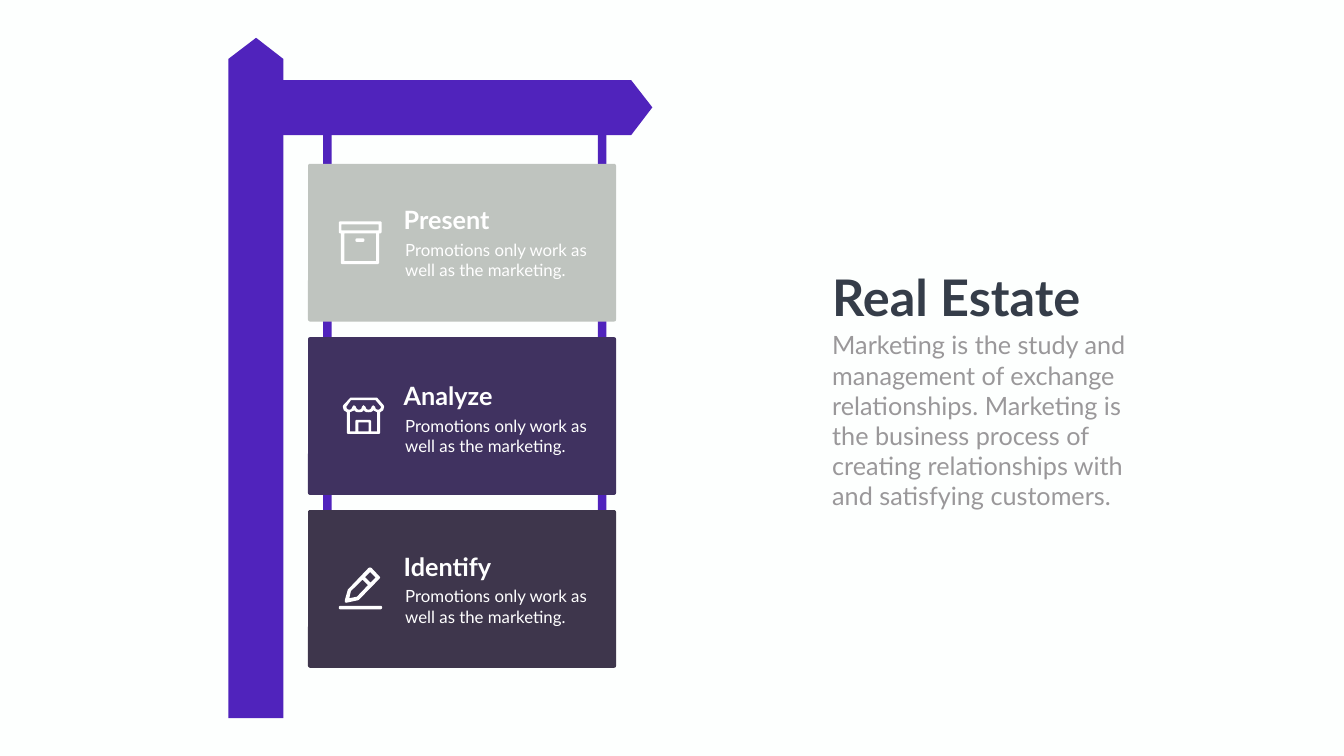
"""Build a signpost slide with three hanging panels and a heading."""
from math import cos, radians, sin

from pptx import Presentation
from pptx.dml.color import RGBColor
from pptx.enum.shapes import MSO_SHAPE as Shape
from pptx.enum.text import MSO_AUTO_SIZE as AutoSize
from pptx.util import Inches, Pt

BACKGROUND = RGBColor(0xFD, 0xFF, 0xFE)
PURPLE = RGBColor(0x50, 0x23, 0xBC)
SAGE = RGBColor(0xBF, 0xC4, 0xBF)
VIOLET = RGBColor(0x40, 0x32, 0x60)
PLUM = RGBColor(0x3E, 0x36, 0x4C)
WHITE = RGBColor(0xFF, 0xFF, 0xFF)
SLATE = RGBColor(0x35, 0x3D, 0x49)
GREY = RGBColor(0x9A, 0x98, 0x9A)

PANEL_TEXT = "Promotions only work as well as the marketing."
HEADING_TEXT = (
    "Marketing is the study and management of exchange relationships. "
    "Marketing is the business process of creating relationships with "
    "and satisfying customers."
)
PANELS = [
    ("Present", SAGE, 3.25, 4.01),
    ("Analyze", VIOLET, 6.69, 7.49),
    ("Identify", PLUM, 10.12, 10.88),
]


def paint(shape, color):
    shape.shadow.inherit = False
    shape.fill.solid()
    shape.fill.fore_color.rgb = color
    shape.line.fill.background()


def add_bar(slide, left, top, width, height, color, radius=0):
    kind = Shape.ROUNDED_RECTANGLE if radius else Shape.RECTANGLE
    shape = slide.shapes.add_shape(
        kind, Inches(left), Inches(top), Inches(width), Inches(height))
    if radius:
        shape.adjustments[0] = radius / min(width, height)
    paint(shape, color)


def add_outline(slide, color, *contours):
    builder = None
    for contour in contours:
        points = [(Inches(x), Inches(y)) for x, y in contour]
        if builder is None:
            builder = slide.shapes.build_freeform(*points[0])
        else:
            builder.move_to(*points[0])
        builder.add_line_segments(points[1:], close=True)
    paint(builder.convert_to_shape(), color)


def add_text(shapes, text, left, top, width, height, *, size, color,
             bold=False, wrap=True):
    box = shapes.add_textbox(
        Inches(left), Inches(top), Inches(width), Inches(height))
    frame = box.text_frame
    frame.word_wrap = wrap
    frame.auto_size = AutoSize.SHAPE_TO_FIT_TEXT
    paragraph = frame.paragraphs[0]
    run = paragraph.add_run()
    run.text = text
    run.font.name = "Lato"
    run.font.size = Pt(size)
    run.font.bold = bold
    run.font.color.rgb = color


def rectangle(left, top, right, bottom):
    return [(left, top), (right, top), (right, bottom), (left, bottom)]


def scallop(center, top, half_width, depth):
    return [(center + half_width * cos(radians(angle)),
             top + depth * sin(radians(angle)))
            for angle in range(180, -1, -30)]


def add_box_icon(slide):
    outer = [(6.74, 4.39), (7.55, 4.39), (7.57, 4.41), (7.57, 4.61),
             (7.55, 4.63), (7.52, 4.63), (7.52, 5.22), (7.5, 5.24),
             (6.78, 5.24), (6.76, 5.22), (6.76, 4.63), (6.74, 4.63),
             (6.72, 4.61), (6.72, 4.41)]
    add_outline(slide, WHITE, outer, rectangle(6.77, 4.45, 7.51, 4.57),
                rectangle(6.83, 4.63, 7.46, 5.18))
    add_bar(slide, 7.05, 4.73, 0.18, 0.07, WHITE, radius=0.03)


def add_shop_icon(slide):
    centers = [6.93 + 0.19 * index for index in range(4)]
    outer = [(6.8, 8.07), (6.81, 8.04), (6.95, 7.89), (7.48, 7.89),
             (7.61, 8.04), (7.62, 8.07), (7.6, 8.14), (7.54, 8.18),
             (7.54, 8.59), (7.52, 8.61), (6.9, 8.61), (6.88, 8.59),
             (6.88, 8.18), (6.82, 8.14)]
    awning = []
    for center in centers:
        awning += scallop(center, 8.07, 0.06, 0.06)
        if center != centers[-1]:
            awning.append((center + 0.09, 8.04))
    awning += [(7.45, 7.94), (6.96, 7.94)]
    wall = [(6.94, 8.18)]
    for center in centers[1:3]:
        wall += scallop(center, 8.14, 0.09, 0.04)
    wall += [(7.48, 8.18), (7.48, 8.56), (7.36, 8.56), (7.36, 8.35),
             (7.34, 8.33), (7.07, 8.33), (7.05, 8.35), (7.05, 8.56),
             (6.94, 8.56)]
    add_outline(slide, WHITE, outer, awning, wall,
                rectangle(7.11, 8.38, 7.31, 8.56))


def add_pencil_icon(slide):
    outer = [(6.87, 11.96), (6.84, 11.95), (6.84, 11.91), (6.9, 11.7),
             (7.31, 11.27), (7.34, 11.26), (7.37, 11.27), (7.53, 11.44),
             (7.54, 11.46), (7.53, 11.48), (7.12, 11.9), (7.1, 11.91)]
    eraser = [(7.34, 11.35), (7.45, 11.46), (7.35, 11.56), (7.24, 11.45)]
    body = [(6.96, 11.73), (7.19, 11.5), (7.3, 11.61), (7.08, 11.84),
            (6.93, 11.87)]
    add_outline(slide, WHITE, outer, eraser, body)
    add_bar(slide, 6.72, 12.02, 0.86, 0.07, WHITE, radius=0.03)


def add_signpost(slide):
    add_outline(slide, PURPLE, [(4.53, 1.17), (5.08, 0.75), (5.62, 1.17),
                                (5.62, 14.25), (4.53, 14.25)])
    add_outline(slide, PURPLE, [(5.22, 1.59), (12.52, 1.59), (12.94, 2.13),
                                (12.52, 2.68), (5.22, 2.68)])
    for left in (6.41, 11.86):
        add_bar(slide, left, 1.59, 0.17, 9.25, PURPLE)


def add_panel_text(slide, title, top):
    shapes = slide.shapes.add_group_shape().shapes
    add_text(shapes, title, 7.91, top, 2.61, 0.71,
             size=36, color=WHITE, bold=True)
    add_text(shapes, PANEL_TEXT, 7.94, top + 0.7, 4.02, 0.91,
             size=24, color=WHITE)


def add_heading(slide):
    shapes = slide.shapes.add_group_shape().shapes
    add_text(shapes, "Real Estate", 16.41, 5.24, 5.26, 1.31,
             size=72, color=SLATE, bold=True, wrap=False)
    add_text(shapes, HEADING_TEXT, 16.41, 6.49, 6.54, 3.74,
             size=36, color=GREY)


def main():
    presentation = Presentation()
    presentation.slide_width = Inches(26.66)
    presentation.slide_height = Inches(15)
    slide = presentation.slides.add_slide(presentation.slide_layouts[6])
    slide.background.fill.solid()
    slide.background.fill.fore_color.rgb = BACKGROUND

    add_signpost(slide)
    for _, color, top, _ in PANELS:
        add_bar(slide, 6.11, top, 6.11, 3.13, color, radius=0.04)
    add_box_icon(slide)
    add_shop_icon(slide)
    add_pencil_icon(slide)
    for title, _, _, text_top in PANELS:
        add_panel_text(slide, title, text_top)
    add_heading(slide)
    presentation.save("out.pptx")


if __name__ == "__main__":
    main()
